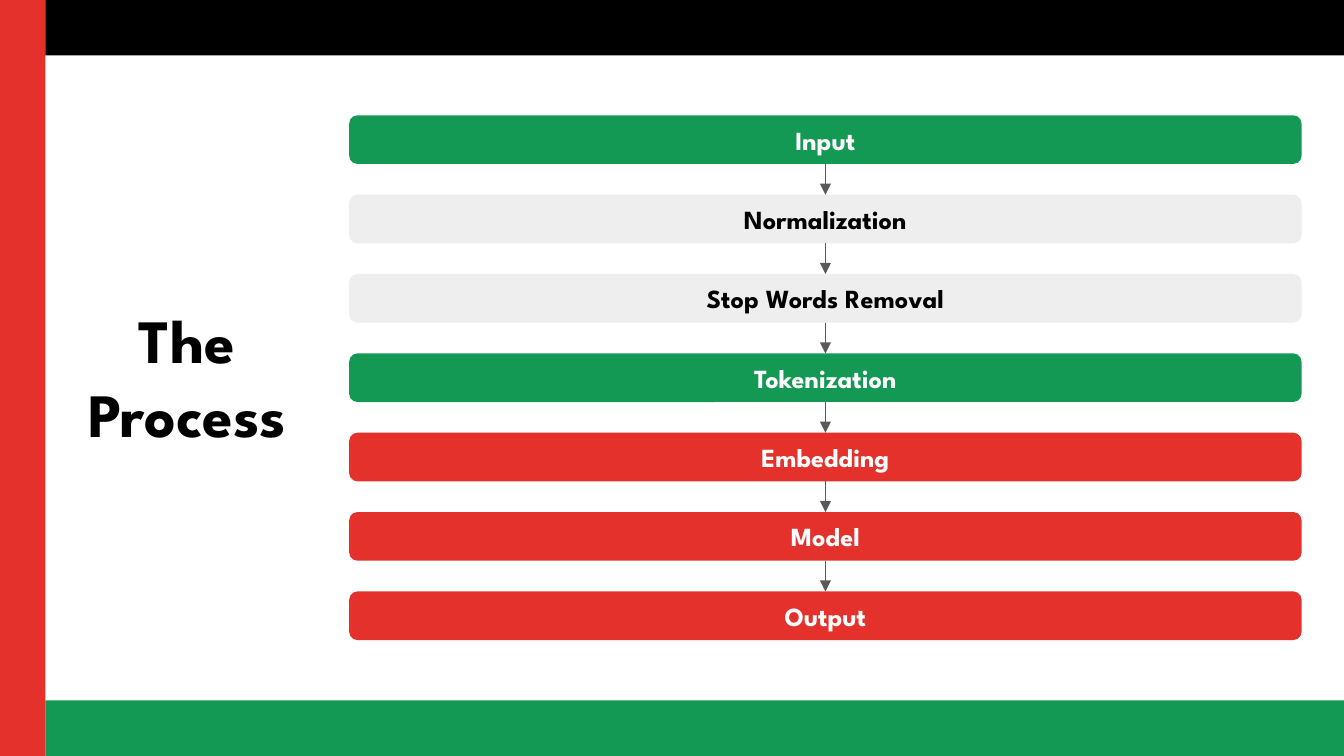
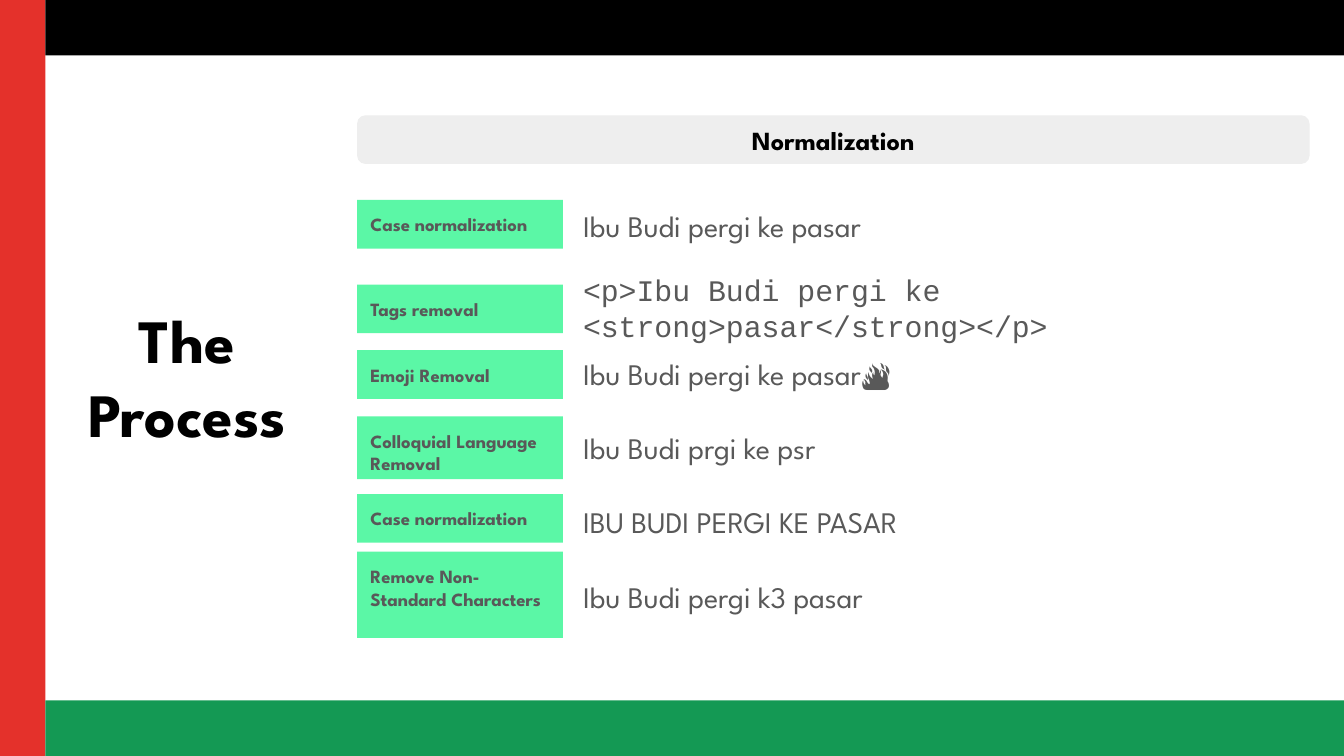
from dataclasses import dataclass

from lxml import etree
from pptx import Presentation
from pptx.dml.color import RGBColor
from pptx.enum.shapes import MSO_CONNECTOR, MSO_SHAPE
from pptx.enum.text import MSO_ANCHOR, PP_ALIGN
from pptx.oxml.ns import qn
from pptx.shapes.base import BaseShape
from pptx.slide import Slide
from pptx.util import Cm, Pt

RECT = MSO_SHAPE.RECTANGLE
ROUND = MSO_SHAPE.ROUNDED_RECTANGLE
LINE = MSO_CONNECTOR.STRAIGHT
TOP = MSO_ANCHOR.TOP
MIDDLE = MSO_ANCHOR.MIDDLE
LEFT = PP_ALIGN.LEFT
CENTER = PP_ALIGN.CENTER


@dataclass(frozen=True)
class Theme:
    red: str = "E4312B"
    black: str = "000000"
    green: str = "149954"
    mint: str = "5BF7A6"
    pale: str = "EEEEEE"
    white: str = "FFFFFF"
    gray: str = "595959"
    font: str = "League Spartan"
    mono: str = "Courier New"
    title: float = 33
    sample: float = 16
    step: float = 14
    label: float = 10
    line: float = 0.75


@dataclass(frozen=True)
class Box:
    x: float
    y: float
    w: float
    h: float


@dataclass(frozen=True)
class Style:
    size: float
    color: str
    bold: bool = True
    font: str = Theme.font
    align: PP_ALIGN = LEFT
    anchor: MSO_ANCHOR = TOP


@dataclass(frozen=True)
class Step:
    text: str
    fill: str
    color: str = Theme.white


@dataclass(frozen=True)
class Rule:
    label: str
    top: float
    high: float
    sample: str
    font: str = Theme.font
    anchor: MSO_ANCHOR = TOP


THEME = Theme()
WIDE, HIGH = 25.4, 14.29
SIDE, BAND = 0.86, 1.05
INSET = 0.25
BAR = Box(6.6, 2.18, 18.0, 0.92)
PITCH = 1.5
SHIFT = 0.15
LABEL_W = 3.89
SAMPLE = Box(10.77, 3.68, 13.97, 1.48)
SAMPLE_GAP = 1.4

BANDS = [
    (Box(0, 0, SIDE, HIGH), THEME.red),
    (Box(SIDE, 0, WIDE - SIDE, BAND), THEME.black),
    (Box(SIDE, HIGH - BAND, WIDE - SIDE, BAND), THEME.green),
]
TITLE = Box(1.12, 1.83, 4.83, 10.54)

NORMAL = Step("Normalization", THEME.pale, THEME.black)
STEPS = [
    Step("Input", THEME.green),
    NORMAL,
    Step("Stop Words Removal", THEME.pale, THEME.black),
    Step("Tokenization", THEME.green),
    Step("Embedding", THEME.red),
    Step("Model", THEME.red),
    Step("Output", THEME.red),
]
RULES = [
    Rule("Case normalization", 3.78, 0.92, "Ibu Budi pergi ke pasar"),
    Rule("Tags removal", 5.38, 0.92,
         "<p>Ibu Budi pergi ke <strong>pasar</strong></p>", THEME.mono, MIDDLE),
    Rule("Emoji Removal", 6.62, 0.92, "Ibu Budi pergi ke pasar🔥"),
    Rule("Colloquial Language Removal", 7.87, 1.19, "Ibu Budi prgi ke psr"),
    Rule("Case normalization", 9.34, 0.92, "IBU BUDI PERGI KE PASAR"),
    Rule("Remove Non-Standard Characters", 10.43, 1.63, "Ibu Budi pergi k3 pasar"),
]


def place(box: Box) -> tuple[Cm, Cm, Cm, Cm]:
    return Cm(box.x), Cm(box.y), Cm(box.w), Cm(box.h)


def write(shape: BaseShape, text: str, style: Style) -> None:
    frame = shape.text_frame
    frame.word_wrap = True
    frame.vertical_anchor = style.anchor
    frame.margin_left = frame.margin_right = Cm(INSET)
    frame.margin_top = frame.margin_bottom = Cm(INSET)
    para = frame.paragraphs[0]
    para.alignment = style.align
    run = para.add_run()
    run.text = text
    font = run.font
    font.name = style.font
    font.size = Pt(style.size)
    font.bold = style.bold
    font.color.rgb = RGBColor.from_string(style.color)


def add_block(slide: Slide, box: Box, fill: str, kind: MSO_SHAPE = RECT) -> BaseShape:
    shape = slide.shapes.add_shape(kind, *place(box))
    shape.shadow.inherit = False
    shape.fill.solid()
    shape.fill.fore_color.rgb = RGBColor.from_string(fill)
    shape.line.fill.background()
    return shape


def add_text(slide: Slide, box: Box, text: str, style: Style) -> None:
    write(slide.shapes.add_textbox(*place(box)), text, style)


def add_bar(slide: Slide, step: Step, x: float, y: float) -> None:
    shape = add_block(slide, Box(x, y, BAR.w, BAR.h), step.fill, ROUND)
    shape.adjustments[0] = 0.17
    write(shape, step.text,
          Style(THEME.step, step.color, align=CENTER, anchor=MIDDLE))


def add_arrow(slide: Slide, x: float, start: float, end: float) -> None:
    arrow = slide.shapes.add_connector(LINE, Cm(x), Cm(start), Cm(x), Cm(end))
    arrow.line.color.rgb = RGBColor.from_string(THEME.gray)
    arrow.line.width = Pt(THEME.line)
    etree.SubElement(arrow.line._get_or_add_ln(), qn("a:tailEnd"), type="triangle")
    etree.SubElement(arrow._element.spPr, qn("a:effectLst"))


def add_page(deck: Presentation) -> Slide:
    slide = deck.slides.add_slide(deck.slide_layouts[6])
    for box, fill in BANDS:
        add_block(slide, box, fill)
    add_text(slide, TITLE, "The Process",
             Style(THEME.title, THEME.black, align=CENTER, anchor=MIDDLE))
    return slide


def draw_flow(slide: Slide) -> None:
    for i, step in enumerate(STEPS):
        y = BAR.y + i * PITCH
        add_bar(slide, step, BAR.x, y)
        if i:
            add_arrow(slide, BAR.x + BAR.w / 2, y - PITCH + BAR.h, y)


def draw_rules(slide: Slide) -> None:
    left = BAR.x + SHIFT
    add_bar(slide, NORMAL, left, BAR.y)
    for i, rule in enumerate(RULES):
        box = Box(SAMPLE.x, SAMPLE.y + i * SAMPLE_GAP, SAMPLE.w, SAMPLE.h)
        add_text(slide, box, rule.sample,
                 Style(THEME.sample, THEME.gray, False, rule.font, anchor=rule.anchor))
        label = add_block(slide, Box(left, rule.top, LABEL_W, rule.high), THEME.mint)
        write(label, rule.label, Style(THEME.label, THEME.gray))


def main() -> None:
    deck = Presentation()
    deck.slide_width, deck.slide_height = Cm(WIDE), Cm(HIGH)
    for draw in (draw_flow, draw_rules):
        draw(add_page(deck))
    deck.save("out.pptx")


if __name__ == "__main__":
    main()
